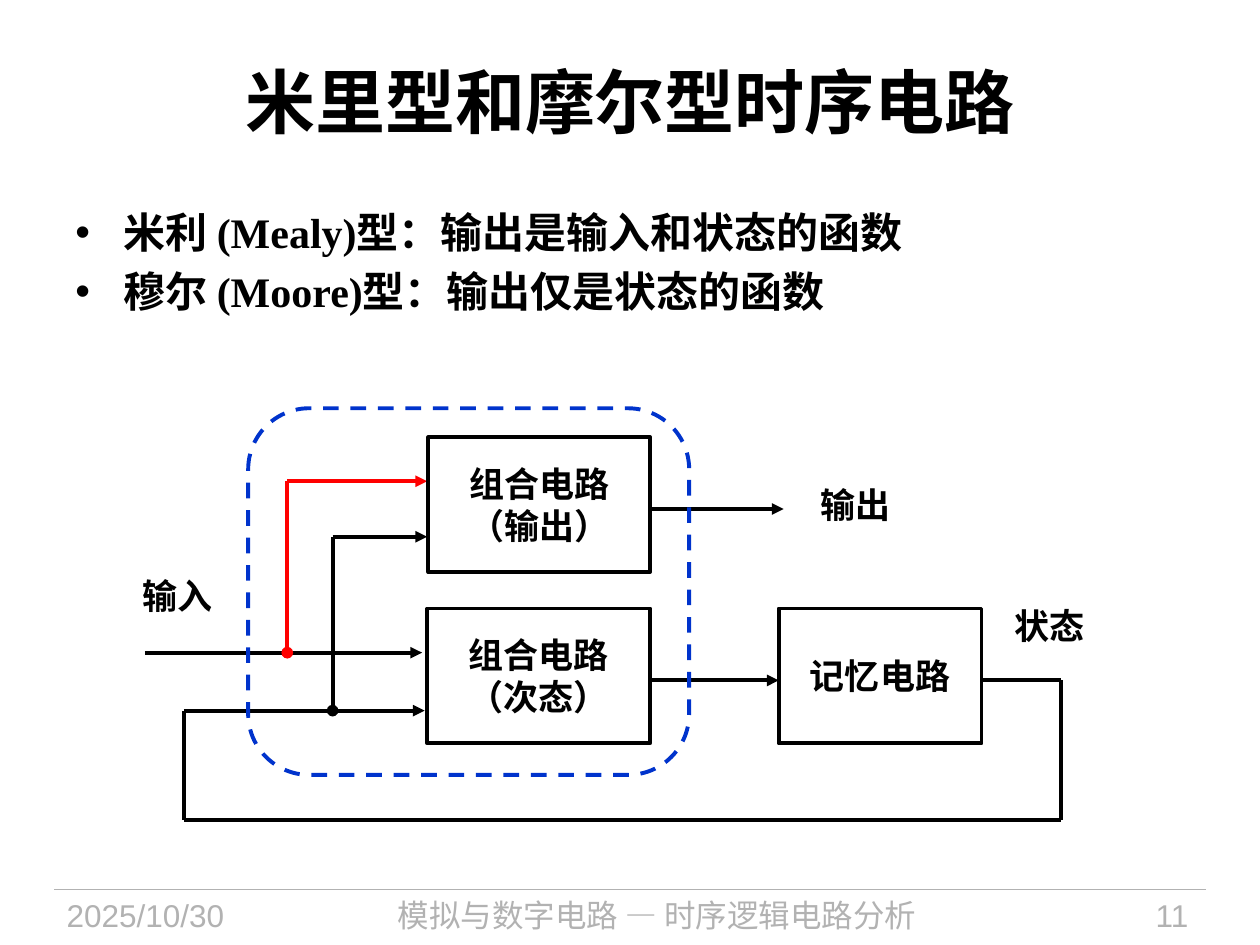
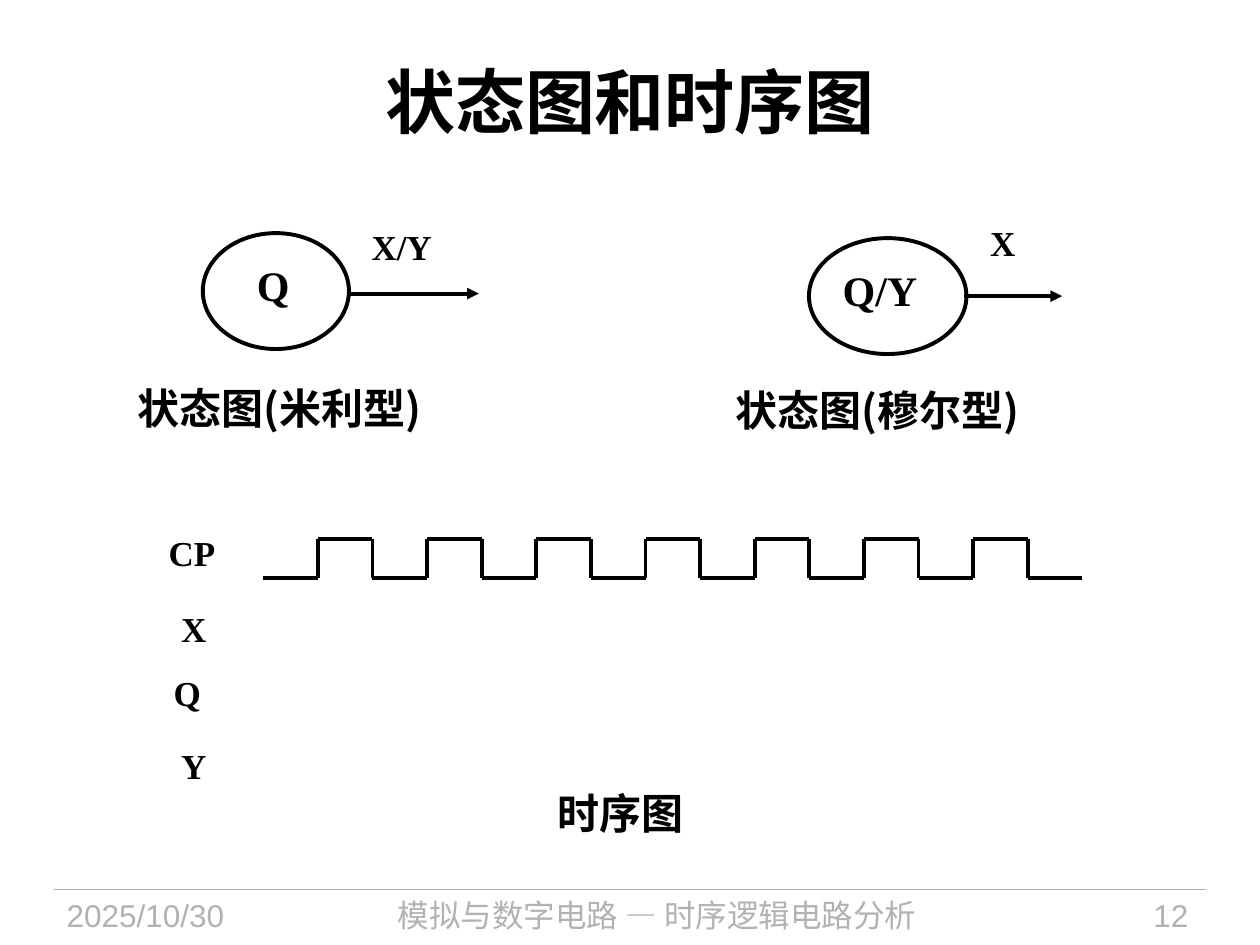
from lxml import etree
from pptx import Presentation
from pptx import util as u
from pptx.dml.color import RGBColor
from pptx.enum import dml, shapes, text
from pptx.oxml import ns

BLACK, WHITE, GREY, RED, BLUE = "000000", "FFFFFF", "B2B2B2", "FF0000", "0033CC"
SERIF, SANS, CJK = "Times New Roman", "Arial", "Noto Sans CJK SC"
LEFT, CENTER, RIGHT = text.PP_ALIGN.LEFT, text.PP_ALIGN.CENTER, text.PP_ALIGN.RIGHT
TOP, MIDDLE = text.MSO_ANCHOR.TOP, text.MSO_ANCHOR.MIDDLE
rgb = RGBColor.from_string

presentation = Presentation()
presentation.slide_width, presentation.slide_height = u.Inches(10), u.Inches(7.5)
cell = presentation.slide_width / 100


def write(shape, lines, size=20, font=SERIF, colour=BLACK, bold=True, align=LEFT, anchor=TOP,
          wrap=False, inset=None, bullet=None, first_indent=0, hanging=0, after=0):
    frame = shape.text_frame
    frame.word_wrap, frame.vertical_anchor = wrap, anchor
    if inset is not None:
        frame.margin_left = frame.margin_right = frame.margin_top = frame.margin_bottom = inset
    for index, line in enumerate(lines):
        paragraph = frame.paragraphs[0] if index == 0 else frame.add_paragraph()
        properties = paragraph._p.get_or_add_pPr()
        properties.set("marL", str(round(hanging * cell)))
        properties.set("indent", str(round((first_indent - hanging) * cell)))
        if bullet:
            etree.SubElement(properties, ns.qn("a:buFont")).set("typeface", SANS)
            etree.SubElement(properties, ns.qn("a:buChar")).set("char", bullet)
        paragraph.alignment = align
        paragraph.space_after = u.Pt(after)
        for words, face in [(line, font)] if isinstance(line, str) else line:
            run = paragraph.add_run()
            run.text = words
            run.font.name, run.font.size, run.font.bold = face, u.Pt(size), bold
            run.font.color.rgb = rgb(colour)


def connect(slide, start, end, colour=BLACK, width=2.25, tail=None):
    ends = [round(value * cell) for value in (*start, *end)]
    line = slide.shapes.add_connector(shapes.MSO_CONNECTOR.STRAIGHT, *ends)
    line.line.color.rgb, line.line.width = rgb(colour), u.Pt(width)
    if tail:
        etree.SubElement(line.line._get_or_add_ln(), ns.qn("a:tailEnd")).set("type", tail)
    etree.SubElement(line._element.spPr, ns.qn("a:effectLst"))


titles = ["米里型和摩尔型时序电路", "状态图和时序图"]
body = dict(size=24, wrap=True, bullet="•", hanging=3.8, after=4.8)
footer = dict(size=18, colour=GREY, bold=False, wrap=True)
label = dict(align=CENTER, wrap=True)
caption = dict(size=24, font=SANS, wrap=True, first_indent=0.7)

slide_texts = [
    [
        ((5, 15.9, 90, 14.1), ["米利 (Mealy)型：输出是输入和状态的函数",
                               "穆尔 (Moore)型：输出仅是状态的函数"], body),
        ((63, 37.9, 9.8, 4.4), ["输出"], label),
        ((78.4, 47.5, 9.8, 4.4), ["状态"], label),
        ((9.4, 45.1, 9.4, 4.4), ["输入"], label),
    ],
    [
        ((19.4, 20.1, 4.6, 5), ["Q"], dict(size=24)),
        ((65.9, 20.5, 8, 5.1), ["Q/Y"], dict(size=24)),
        ((28.5, 17.4, 6.9, 4.4), ["X/Y"], {}),
        ((77.6, 17.1, 4, 4.4), ["X"], {}),
        ((9.2, 29.9, 26.5, 5), [[("状态图", SANS), ("(", CJK), ("米利型", SANS), (")", CJK)]], caption),
        ((56.7, 30, 26.6, 5.1), [[("状态图", SANS), ("(", CJK), ("穆尔型", SANS), (")", CJK)]], caption),
        ((12.4, 41.7, 5.8, 4.4), ["CP"], {}),
        ((13.4, 47.7, 4, 4.4), ["X"], {}),
        ((12.8, 52.8, 4.2, 4.4), ["Q"], {}),
        ((13.4, 58.6, 4, 4.4), ["Y"], {}),
        ((42.8, 62, 12.9, 5.1), ["时序图"], dict(size=24, font=SANS, align=CENTER)),
    ],
]

slides = []
for number, (title, texts) in enumerate(zip(titles, slide_texts), 11):
    slide = presentation.slides.add_slide(presentation.slide_layouts[6])
    slides.append(slide)
    connect(slide, (4.3, 70.6), (95.7, 70.6), GREY, 0.75)
    shared = [
        ((4.3, 70.6, 18.8, 4.4), ["2025/10/30"], dict(footer, font=SANS)),
        ((24, 70.6, 56.3, 4.4), ["模拟与数字电路 — 时序逻辑电路分析"], dict(footer, font=CJK, align=CENTER)),
        ((82, 70.6, 13.3, 4.4), [str(number)], dict(footer, font=SANS, align=RIGHT)),
        ((5, 1.7, 90, 12.5), [title], dict(size=40, align=CENTER, anchor=MIDDLE, wrap=True)),
    ]
    for place, lines, style in shared + texts:
        write(slide.shapes.add_textbox(*[round(value * cell) for value in place]), lines, **style)

circuit, diagrams = slides

input_row, feedback_row, state_row, return_row = 51.8, 56.4, 54, 65.1
feedback_column, state_column = 14.6, 84.2
for start, end, colour, tail in [
    ((11.5, input_row), (33.5, input_row), BLACK, "triangle"),
    ((feedback_column, feedback_row), (33.7, feedback_row), BLACK, "triangle"),
    ((26.4, 42.6), (33.9, 42.6), BLACK, "triangle"),
    ((26.4, 42.6), (26.4, feedback_row), BLACK, "oval"),
    ((22.8, 38.2), (33.9, 38.2), RED, "triangle"),
    ((22.8, 38.2), (22.8, input_row), RED, "oval"),
    ((51.2, 40.4), (62.2, 40.4), BLACK, "triangle"),
    ((51.2, state_row), (61.8, state_row), BLACK, "triangle"),
    ((77.9, state_row), (state_column, state_row), BLACK, None),
    ((state_column, state_row), (state_column, return_row), BLACK, None),
    ((feedback_column, return_row), (state_column, return_row), BLACK, None),
    ((feedback_column, feedback_row), (feedback_column, return_row), BLACK, None),
]:
    connect(circuit, start, end, colour, tail=tail)

kinds = shapes.MSO_SHAPE
for slide, kind, place, fill, colour, lines in [
    (circuit, kinds.ROUNDED_RECTANGLE, (19.7, 32.4, 35, 29.1), None, BLUE, []),
    (circuit, kinds.RECTANGLE, (34, 34.7, 17.6, 10.7), WHITE, BLACK, ["组合电路", "（输出）"]),
    (circuit, kinds.RECTANGLE, (33.9, 48.3, 17.7, 10.7), WHITE, BLACK, ["组合电路", "（次态）"]),
    (circuit, kinds.RECTANGLE, (61.8, 48.3, 16.1, 10.7), None, BLACK, ["记忆电路"]),
    (diagrams, kinds.OVAL, (16.1, 18.5, 11.6, 9.2), None, BLACK, []),
    (diagrams, kinds.OVAL, (64.2, 18.9, 12.5, 9.2), None, BLACK, []),
]:
    shape = slide.shapes.add_shape(kind, *[round(value * cell) for value in place])
    shape.shadow.inherit = False
    if fill:
        shape.fill.solid()
        shape.fill.fore_color.rgb = rgb(fill)
    else:
        shape.fill.background()
    shape.line.color.rgb, shape.line.width = rgb(colour), u.Pt(2.25)
    if kind == kinds.ROUNDED_RECTANGLE:
        shape.line.dash_style = dml.MSO_LINE.DASH
    write(shape, lines, font=SANS, align=CENTER, anchor=MIDDLE, inset=0)

connect(diagrams, (27.8, 23.3), (38, 23.3), tail="triangle")
connect(diagrams, (76.5, 23.5), (84.3, 23.5), tail="triangle")

clock_left, clock_right, half_periods = 20.9, 85.9, 15
clock_levels = 45.9, 42.8
half_period = (clock_right - clock_left) / half_periods
for step in range(half_periods):
    column = clock_left + step * half_period
    level = clock_levels[step % 2]
    connect(diagrams, (column, level), (column + half_period, level))
    if step:
        connect(diagrams, (column, clock_levels[0]), (column, clock_levels[1]))

presentation.save("out.pptx")
